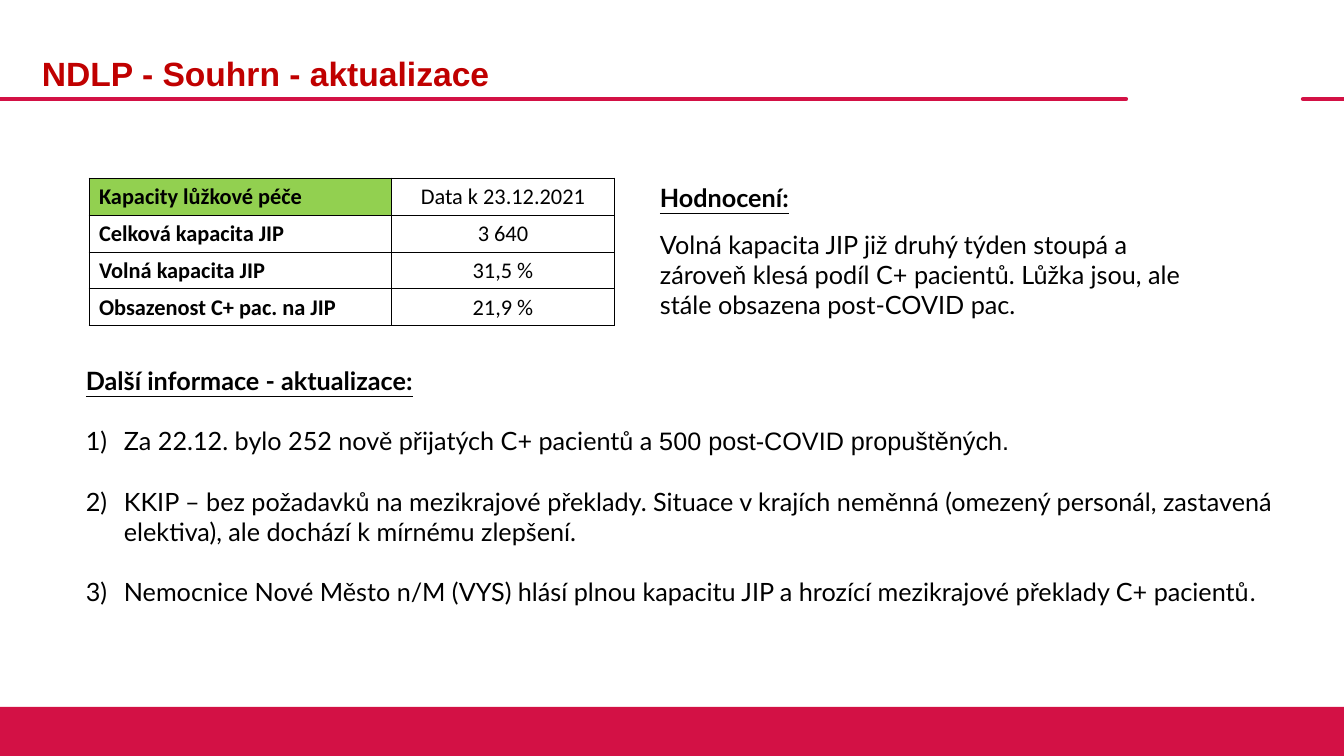
from lxml import etree
from pptx import Presentation
from pptx.dml.color import RGBColor
from pptx.enum import shapes, text
from pptx.oxml.ns import qn
from pptx.util import Pt

RED, DARK_RED, GREEN, BLACK = "D31145", "C00000", "92D050", "000000"
WIDTH, HEIGHT = 1344, 756
RULE_Y, RULES = 99, [(0, 1126), (1303, WIDTH)]
FOOTER = (0, 707, WIDTH, 49)

TITLE = ("NDLP - Souhrn - aktualizace", (32, 26, 1090, 99))
CAPACITY = [
    ("Kapacity lůžkové péče", "Data k 23.12.2021"),
    ("Celková kapacita JIP", "3 640"),
    ("Volná kapacita JIP", "31,5 %"),
    ("Obsazenost C+ pac. na JIP", "21,9 %"),
]
TABLE_LEFT, TABLE_TOP, COLUMN_WIDTHS, ROW_HEIGHT = 89, 178, (302, 224), 37

RATING_BOX = (650, 177, 580, 149)
RATING_HEADING = "Hodnocení:"
RATING = ("Volná kapacita JIP již druhý týden stoupá a zároveň klesá podíl C+ pacientů. "
          "Lůžka jsou, ale stále obsazena post-COVID pac.")

NEWS_BOX = (76, 360, 1208, 285)
NEWS_HEADING = "Další informace - aktualizace:"
NEWS = [
    [("Za 22.12. bylo 252 nově přijatých C+ pacientů a ", "Lato"),
     ("500 post-COVID propuštěných.", "Arial")],
    [("KKIP – bez požadavků na mezikrajové překlady. Situace v krajích neměnná (omezený "
      "personál, zastavená elektiva), ale dochází k mírnému zlepšení.", "Lato")],
    [("Nemocnice Nové Město n/M (VYS) hlásí plnou kapacitu JIP a hrozící mezikrajové "
      "překlady C+ pacientů", "Lato"), (".", "Calibri")],
]
NUMBER_INDENT = 38
LINE_GAP = Pt(21.6)

BODY = {"name": "Lato", "size": Pt(18)}
HEADING = {**BODY, "bold": True, "underline": True}
CELL = {"name": "Calibri", "size": Pt(16)}


def px(length):
    return round(length * 914400 / 100.8)


def color(value):
    return RGBColor.from_string(value)


def add_run(paragraph, words, style, ink=BLACK):
    run = paragraph.add_run()
    run.text = words
    for name, value in style.items():
        setattr(run.font, name, value)
    run.font.color.rgb = color(ink)


def add_text_frame(slide, box):
    frame = slide.shapes.add_textbox(*map(px, box)).text_frame
    frame.word_wrap = True
    return frame


def add_rule(slide, start, end):
    line = slide.shapes.add_connector(
        shapes.MSO_CONNECTOR.STRAIGHT, px(start), px(RULE_Y), px(end), px(RULE_Y))
    line.line.color.rgb = color(RED)
    line.line.width = Pt(3)
    properties = line._element.spPr
    properties.find(qn("a:ln")).set("cap", "rnd")
    etree.SubElement(properties, qn("a:effectLst"))


def add_borders(cell):
    properties = cell._tc.get_or_add_tcPr()
    for side in ("lnL", "lnR", "lnT", "lnB"):
        line = etree.SubElement(properties, qn(f"a:{side}"), w=str(Pt(0.75)))
        fill = etree.SubElement(line, qn("a:solidFill"))
        etree.SubElement(fill, qn("a:srgbClr"), val=BLACK)


def add_number(paragraph):
    """Give the paragraph a hanging automatic number such as 1)."""
    properties = paragraph._p.get_or_add_pPr()
    properties.set("marL", str(px(NUMBER_INDENT)))
    properties.set("indent", str(-px(NUMBER_INDENT)))
    etree.SubElement(properties, qn("a:buFont"), typeface="+mj-lt")
    etree.SubElement(properties, qn("a:buAutoNum"), type="arabicParenR")


def add_capacity_table(slide):
    table = slide.shapes.add_table(
        len(CAPACITY), len(COLUMN_WIDTHS), px(TABLE_LEFT), px(TABLE_TOP),
        px(sum(COLUMN_WIDTHS)), px(ROW_HEIGHT * len(CAPACITY))).table
    table.first_row = table.horz_banding = False
    for column, width in zip(table.columns, COLUMN_WIDTHS):
        column.width = px(width)
    for row, values in enumerate(CAPACITY):
        for column, words in enumerate(values):
            cell = table.cell(row, column)
            add_borders(cell)
            cell.fill.background()
            paragraph = cell.text_frame.paragraphs[0]
            add_run(paragraph, words, {**CELL, "bold": column == 0})
            if column == 1:
                cell.vertical_anchor = text.MSO_ANCHOR.MIDDLE
                paragraph.alignment = text.PP_ALIGN.CENTER
    header = table.cell(0, 0)
    header.fill.solid()
    header.fill.fore_color.rgb = color(GREEN)


def add_rating(slide):
    frame = add_text_frame(slide, RATING_BOX)
    frame.auto_size = text.MSO_AUTO_SIZE.SHAPE_TO_FIT_TEXT
    heading = frame.paragraphs[0]
    heading.space_after = Pt(12)
    add_run(heading, RATING_HEADING, HEADING)
    add_run(frame.add_paragraph(), RATING, BODY)


def add_news(slide):
    frame = add_text_frame(slide, NEWS_BOX)
    add_run(frame.paragraphs[0], NEWS_HEADING, HEADING)
    for runs in NEWS:
        paragraph = frame.add_paragraph()
        add_number(paragraph)
        paragraph.space_before = LINE_GAP
        for words, font in runs:
            add_run(paragraph, words, {**BODY, "name": font})


def main():
    presentation = Presentation()
    presentation.slide_width, presentation.slide_height = px(WIDTH), px(HEIGHT)
    slide = presentation.slides.add_slide(presentation.slide_layouts[6])

    for start, end in RULES:
        add_rule(slide, start, end)
    footer = slide.shapes.add_shape(shapes.MSO_SHAPE.RECTANGLE, *map(px, FOOTER))
    footer.shadow.inherit = False
    footer.fill.solid()
    footer.fill.fore_color.rgb = color(RED)
    footer.line.fill.background()

    words, box = TITLE
    frame = add_text_frame(slide, box)
    frame.vertical_anchor = text.MSO_ANCHOR.MIDDLE
    frame.paragraphs[0].line_spacing = 0.9
    add_run(frame.paragraphs[0], words,
            {"name": "Arial", "size": Pt(24), "bold": True}, DARK_RED)

    add_capacity_table(slide)
    add_news(slide)
    add_rating(slide)
    presentation.save("out.pptx")


if __name__ == "__main__":
    main()
